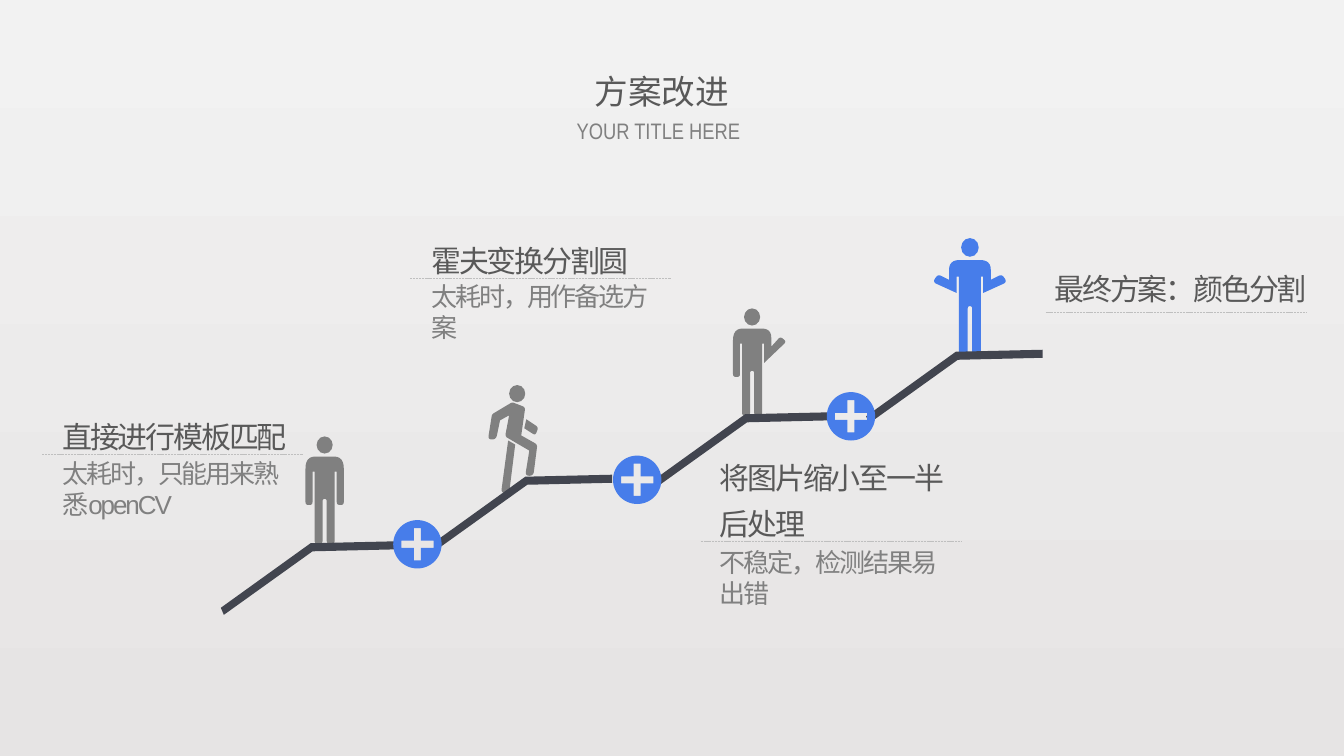
from dataclasses import dataclass
from math import cos, pi, sin

from lxml import etree
from pptx import Presentation
from pptx.dml.color import RGBColor
from pptx.enum.dml import MSO_LINE
from pptx.enum.shapes import MSO_CONNECTOR, MSO_SHAPE
from pptx.enum.text import MSO_ANCHOR, MSO_AUTO_SIZE, PP_ALIGN
from pptx.oxml.ns import qn
from pptx.util import Inches, Pt

LEFT, CENTER = PP_ALIGN.LEFT, PP_ALIGN.CENTER
TOP = MSO_ANCHOR.TOP
GROW = MSO_AUTO_SIZE.SHAPE_TO_FIT_TEXT
OVAL = MSO_SHAPE.OVAL
STRAIGHT = MSO_CONNECTOR.STRAIGHT
FINE_DASH = MSO_LINE.SQUARE_DOT
TITLE_ONLY = 5


@dataclass(frozen=True)
class Theme:
    accent: str = "477DEA"
    figure: str = "808080"
    step: str = "42454F"
    heading: str = "595959"
    detail: str = "808080"
    rule: str = "BFBFBF"
    background: tuple = ("F2F2F2", "E6E4E4")
    body_font: str = "Arial"
    narrow_font: str = "Arial Narrow"
    chinese_font: str = "Noto Sans CJK SC"
    title_size: float = 24
    subtitle_size: float = 16
    heading_size: float = 21.4
    detail_size: float = 18.6


THEME = Theme()


@dataclass(frozen=True)
class TextStyle:
    font: str
    size: float
    color: str
    align: PP_ALIGN = LEFT
    spacing: float = 1.0
    tracking: float = 0
    inset: tuple = (0.1, 0.05)


TITLE = TextStyle(THEME.chinese_font, THEME.title_size, THEME.heading,
                  align=CENTER, inset=(0.13, 0.07))
SUBTITLE = TextStyle(THEME.narrow_font, THEME.subtitle_size, THEME.detail,
                     align=CENTER, inset=(0.13, 0.07))
HEADING = TextStyle(THEME.body_font, THEME.heading_size, THEME.heading,
                    spacing=1.3, tracking=-1.5)
DETAIL = TextStyle(THEME.body_font, THEME.detail_size, THEME.detail, tracking=-1.5)


@dataclass(frozen=True)
class Label:
    text: str
    box: tuple
    style: TextStyle


@dataclass(frozen=True)
class Person:
    center: float
    top: float
    left_arm: tuple
    right_arm: tuple
    color: str = THEME.figure
    scale: float = 1.0


HANGING = ((0.19, 0.48, 0.03), (0.12, 0.48, 0.03), (0.12, 0.15, 0))
RAISED = ((0.19, 0.18, 0), (0.28, 0.08, 0.03), (0.34, 0.13, 0.03),
          (0.12, 0.34, 0), (0.12, 0.15, 0))
SPREAD = ((0.19, 0.18, 0), (0.29, 0.13, 0.03), (0.34, 0.2, 0.04),
          (0.12, 0.3, 0), (0.12, 0.15, 0))
SHOULDER = ((0, 0, 0), (0.19, 0, 0.12))
LEG = ((0.1, 0.15, 0), (0.1, 0.87, 0.04), (0.02, 0.87, 0.04), (0.02, 0.42, 0.02))

PEOPLE = (
    Person(3.22, 4.53, HANGING, HANGING),
    Person(7.46, 3.26, HANGING, RAISED),
    Person(9.62, 2.58, SPREAD, SPREAD, THEME.accent, 1.09),
)
CLIMBER_HEAD = (5.05, 3.82, 0.16, 0.17)
CLIMBER_PARTS = (
    ((4.84, 4.36, 0.04), (4.88, 4.11, 0.02), (5.08, 3.99, 0.02), (5.21, 4.04, 0.03),
     (5.17, 4.32, 0), (5.33, 4.41, 0.03), (5.29, 4.72, 0.04), (5.21, 4.72, 0.04),
     (5.25, 4.47, 0), (5.01, 4.33, 0.03), (5.05, 4.12, 0), (4.96, 4.17, 0),
     (4.92, 4.36, 0.04)),
    ((5.04, 4.37, 0), (5.11, 4.41, 0), (5.05, 4.89, 0.04), (4.97, 4.89, 0.04)),
    ((5.22, 4.16, 0), (5.34, 4.24, 0.03), (5.31, 4.32, 0.03), (5.2, 4.25, 0)),
)
STEP_OUTLINE = ((1.75, 0), (0.89, 0.02), (0, 0.66), (0.03, 0.73), (0.91, 0.1), (1.75, 0.08))
STEPS = ((2.19, 5.37), (4.32, 4.71), (6.5, 4.09), (8.59, 3.47))
PLUSES = ((6.32, 4.76), (4.14, 5.4), (8.44, 4.13))
RULES = ((0.42, 4.51), (4.07, 2.76), (6.95, 5.37), (10.37, 3.1))
RULE_LENGTH = 2.59

LABELS = (
    Label("太耗时，只能用来熟悉openCV", (0.52, 4.49, 2.34, 0.73), DETAIL),
    Label("直接进行模板匹配", (0.52, 4.0, 2.6, 0.57), HEADING),
    Label("太耗时，用作备选方案", (4.18, 2.73, 2.34, 0.73), DETAIL),
    Label("霍夫变换分割圆", (4.18, 2.25, 2.6, 0.57), HEADING),
    Label("将图片缩小至一半后处理", (7.04, 4.4, 2.6, 1.04), HEADING),
    Label("不稳定，检测结果易出错", (7.04, 5.37, 2.34, 0.73), DETAIL),
    Label("最终方案：颜色分割", (10.36, 2.53, 2.75, 0.57), HEADING),
    Label("YOUR TITLE HERE", (5.57, 1.09, 1.92, 0.4), SUBTITLE),
)


def rounded(corners) -> list:
    points = []
    for index, (x, y, radius) in enumerate(corners):
        if not radius:
            points.append((x, y))
            continue
        ends = []
        for near_x, near_y, _ in (corners[index - 1], corners[(index + 1) % len(corners)]):
            length = ((near_x - x) ** 2 + (near_y - y) ** 2) ** 0.5
            share = min(radius / length, 0.5)
            ends.append((x + (near_x - x) * share, y + (near_y - y) * share))
        (start_x, start_y), (end_x, end_y) = ends
        for t in (step / 6 for step in range(7)):
            a, b, c = (1 - t) ** 2, 2 * t * (1 - t), t ** 2
            points.append((a * start_x + b * x + c * end_x, a * start_y + b * y + c * end_y))
    return points


def paint(shape, color: str) -> None:
    shape.fill.solid()
    shape.fill.fore_color.rgb = RGBColor.from_string(color)
    shape.line.fill.background()
    shape.shadow.inherit = False


def draw_outline(shapes, color: str, *contours) -> None:
    builder = None
    for contour in contours:
        points = [(Inches(x), Inches(y)) for x, y in contour]
        if builder is None:
            builder = shapes.build_freeform(*points[0], scale=1.0)
        else:
            builder.move_to(*points[0])
        builder.add_line_segments(points[1:], close=True)
    paint(builder.convert_to_shape(), color)


def draw_head(shapes, box: tuple, color: str) -> None:
    paint(shapes.add_shape(OVAL, *map(Inches, box)), color)


def draw_person(slide, person: Person) -> None:
    shapes = slide.shapes.add_group_shape().shapes
    scale = person.scale
    draw_head(shapes, (person.center - 0.08 * scale, person.top - 0.2 * scale,
                       0.16 * scale, 0.17 * scale), person.color)
    right = SHOULDER + person.right_arm + LEG
    left = [(-x, y, radius) for x, y, radius in SHOULDER[1:] + person.left_arm + LEG]
    outline = rounded([*right, *reversed(left)])
    draw_outline(shapes, person.color,
                 [(person.center + x * scale, person.top + y * scale) for x, y in outline])


def draw_climber(slide) -> None:
    shapes = slide.shapes.add_group_shape().shapes
    draw_head(shapes, CLIMBER_HEAD, THEME.figure)
    for part in CLIMBER_PARTS:
        draw_outline(shapes, THEME.figure, rounded(part))


def draw_plus(slide, x: float, y: float) -> None:
    radius, arm, half = 0.24, 0.16, 0.035
    circle = [(x + radius * cos(k * pi / 36), y + radius * sin(k * pi / 36)) for k in range(72)]
    corner = ((arm, half), (half, half), (half, arm))
    cross = [(x + side_x * dx, y + side_y * dy)
             for side_x, side_y, order in ((1, -1, 1), (-1, -1, -1), (-1, 1, 1), (1, 1, -1))
             for dx, dy in corner[::order]]
    draw_outline(slide.shapes, THEME.accent, circle, cross)


def draw_rule(slide, x: float, y: float) -> None:
    rule = slide.shapes.add_connector(STRAIGHT, Inches(x), Inches(y),
                                      Inches(x + RULE_LENGTH), Inches(y))
    rule.line.color.rgb = RGBColor.from_string(THEME.rule)
    rule.line.width = Pt(0.5)
    rule.line.dash_style = FINE_DASH
    etree.SubElement(rule._element.spPr, qn("a:effectLst"))


def write_text(shape, text: str, style: TextStyle) -> None:
    frame = shape.text_frame
    frame.word_wrap, frame.auto_size, frame.vertical_anchor = True, GROW, TOP
    frame.margin_left = frame.margin_right = Inches(style.inset[0])
    frame.margin_top = frame.margin_bottom = Inches(style.inset[1])
    paragraph = frame.paragraphs[0]
    paragraph.text = text
    paragraph.alignment, paragraph.line_spacing = style.align, style.spacing
    font = paragraph.font
    font.name, font.size = style.font, Pt(style.size)
    font.color.rgb = RGBColor.from_string(style.color)
    properties = paragraph._p.get_or_add_pPr().get_or_add_defRPr()
    properties.set("spc", str(round(style.tracking * 100)))
    latin = properties.find(qn("a:latin"))
    latin.addnext(etree.Element(qn("a:ea"), typeface=THEME.chinese_font))


def main() -> None:
    presentation = Presentation()
    presentation.slide_width, presentation.slide_height = Inches(13.33), Inches(7.5)
    slide = presentation.slides.add_slide(presentation.slide_layouts[TITLE_ONLY])
    fill = slide.background.fill
    fill.gradient()
    fill.gradient_angle = 270
    for stop, color in zip(fill.gradient_stops, THEME.background):
        stop.color.rgb = RGBColor.from_string(color)
    title = slide.shapes.title
    title.left, title.top, title.width, title.height = map(Inches, (5.07, 0.63, 2.99, 0.54))
    write_text(title, "方案改进", TITLE)
    for person in PEOPLE:
        draw_person(slide, person)
    draw_climber(slide)
    for left, top in STEPS:
        draw_outline(slide.shapes, THEME.step, [(left + x, top + y) for x, y in STEP_OUTLINE])
    for center in PLUSES:
        draw_plus(slide, *center)
    for start in RULES:
        draw_rule(slide, *start)
    for label in LABELS:
        write_text(slide.shapes.add_textbox(*map(Inches, label.box)), label.text, label.style)
    presentation.save("out.pptx")


if __name__ == "__main__":
    main()
